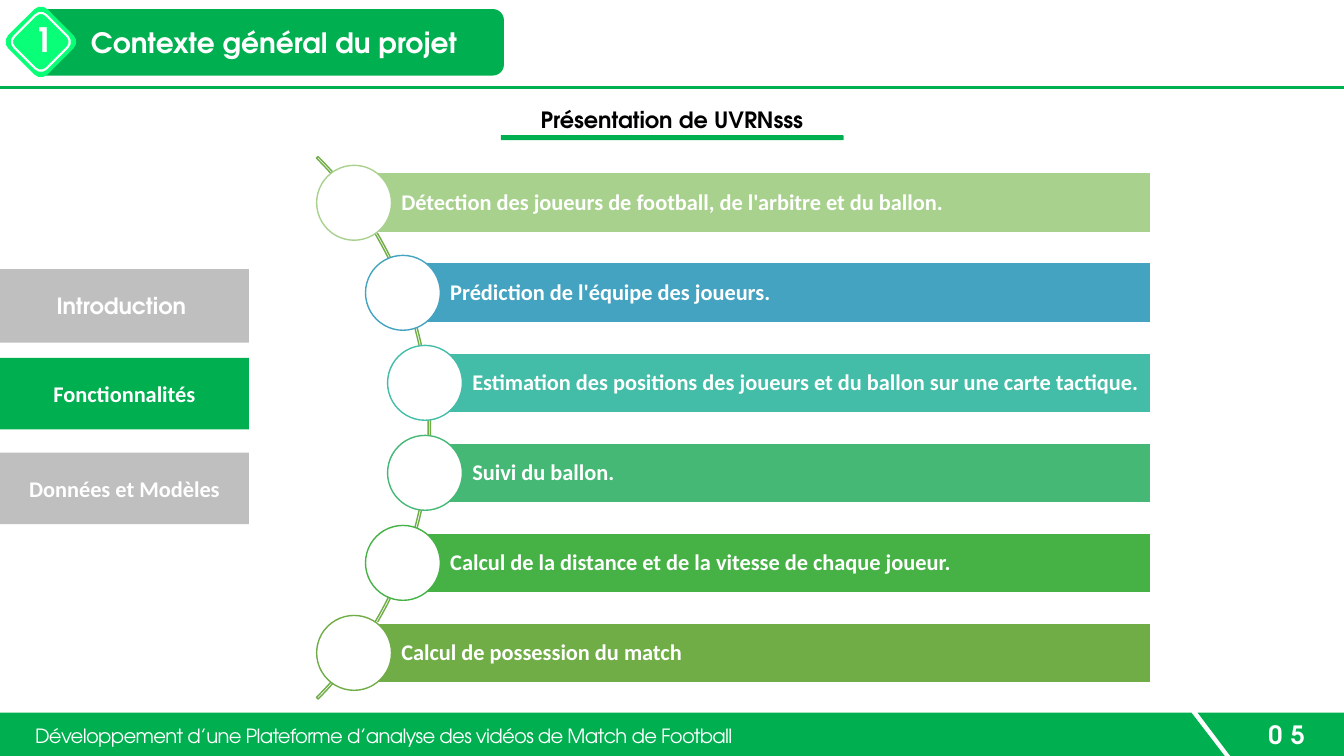
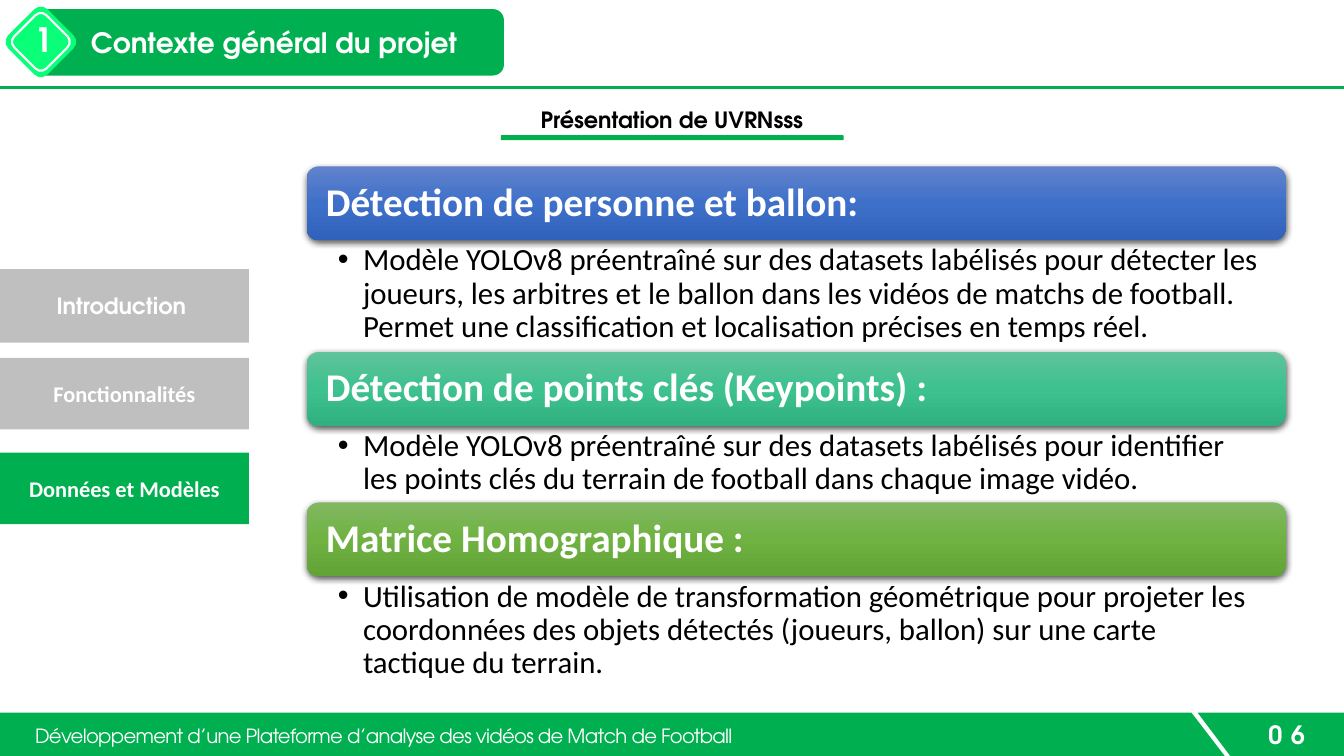
"""Build two slides on the features and models of a football video analysis platform."""
from copy import deepcopy
from dataclasses import dataclass
from math import sqrt
from typing import NamedTuple, Optional

from lxml.etree import SubElement
from pptx import Presentation
from pptx.dml.color import RGBColor
from pptx.enum.shapes import MSO_CONNECTOR, MSO_SHAPE
from pptx.enum.text import MSO_ANCHOR, MSO_AUTO_SIZE, PP_ALIGN
from pptx.oxml.ns import qn
from pptx.presentation import Presentation as Deck
from pptx.shapes.autoshape import Shape
from pptx.slide import Slide
from pptx.util import Pt

WIDTH, HEIGHT = 960, 540
GREEN, BRIGHT, GREY, WHITE, BLACK = "00B050", "09FF78", "BFBFBF", "FFFFFF", "000000"
ARC_GREEN = "70AD47"
HEADING_FONT, BODY_FONT = "TeX Gyre Adventor", "Calibri"
FOOTER_TOP = 509


class Box(NamedTuple):
    """Left, top, width and height in points."""

    left: float
    top: float
    width: float
    height: float


class Insets(NamedTuple):
    """Text margins in points."""

    left: float = 7.2
    top: float = 3.6
    right: float = 7.2
    bottom: float = 3.6


@dataclass(frozen=True)
class TextStyle:
    """How a block of text looks."""

    size: float
    font: str = BODY_FONT
    color: str = WHITE
    bold: bool = True
    align: PP_ALIGN = PP_ALIGN.LEFT
    anchor: MSO_ANCHOR = MSO_ANCHOR.MIDDLE
    insets: Insets = Insets()
    line_spacing: float = 1.0
    tracking: float = 0


@dataclass(frozen=True)
class Tab:
    """One entry of the side menu."""

    label: str
    top: float
    height: float
    font: str


@dataclass(frozen=True)
class Step:
    """One feature along the arc."""

    label: str
    color: str


@dataclass(frozen=True)
class Model:
    """One model with its heading bar and description."""

    heading: str
    description: str
    height: float
    gradient: tuple[str, str, str]


TITLE_STYLE = TextStyle(20, HEADING_FONT, insets=Insets(left=43.4))
SUBTITLE_STYLE = TextStyle(16, HEADING_FONT, BLACK, align=PP_ALIGN.CENTER, anchor=MSO_ANCHOR.TOP)
BADGE_STYLE = TextStyle(24, HEADING_FONT, align=PP_ALIGN.CENTER, tracking=6)
PAGE_STYLE = TextStyle(18, HEADING_FONT, align=PP_ALIGN.CENTER, tracking=6)
FOOTER_STYLE = TextStyle(14, HEADING_FONT, bold=False, anchor=MSO_ANCHOR.TOP, tracking=-0.5)
STEP_STYLE = TextStyle(16, insets=Insets(33.8, 2.9, 2.9, 2.9), line_spacing=0.9)
MODEL_STYLE = TextStyle(28, insets=Insets(left=11.2), line_spacing=0.9)
DESCRIPTION_STYLE = TextStyle(
    22, color=BLACK, bold=False, anchor=MSO_ANCHOR.TOP,
    insets=Insets(22.3, 2.9, 15.8, 2.9), line_spacing=0.9,
)

TABS = (
    Tab("Introduction ", 192.2, 52.6, HEADING_FONT),
    Tab("Fonctionnalités", 255.6, 51.1, BODY_FONT),
    Tab("Données et Modèles", 323.3, 51.1, BODY_FONT),
)
STEPS = (
    Step("Détection des joueurs de football, de l'arbitre et du ballon.", "A9D18E"),
    Step("Prédiction de l'équipe des joueurs.", "44A3C0"),
    Step("Estimation des positions des joueurs et du ballon sur une carte tactique.", "43BDA7"),
    Step("Suivi du ballon.", "44B874"),
    Step("Calcul de la distance et de la vitesse de chaque joueur.", "46B246"),
    Step("Calcul de possession du match", ARC_GREEN),
)
MODELS = (
    Model(
        "Détection de personne et ballon:",
        "Modèle YOLOv8 préentraîné sur des datasets labélisés pour détecter les joueurs, "
        "les arbitres et le ballon dans les vidéos de matchs de football. "
        "Permet une classification et localisation précises en temps réel.",
        79.8, ("6183CB", "3E70CA", "3062BB"),
    ),
    Model(
        "Détection de points clés (Keypoints) :",
        "Modèle YOLOv8 préentraîné sur des datasets labélisés pour identifier "
        "les points clés du terrain de football dans chaque image vidéo.",
        54.7, ("60C39A", "3DC18F", "31B080"),
    ),
    Model(
        "Matrice Homographique :",
        "Utilisation de modèle de transformation géométrique pour projeter les coordonnées "
        "des objets détectés (joueurs, ballon) sur une carte tactique du terrain.",
        79.8, ("81B861", "6FB242", "62A336"),
    ),
)


def rgb(color: str) -> RGBColor:
    """Turn a hex string into a colour."""
    return RGBColor.from_string(color)


def place(shape: Shape, box: Box) -> None:
    """Move and size a shape."""
    shape.left, shape.top, shape.width, shape.height = (Pt(value) for value in box)


def paint(shape: Shape, fill: Optional[str], line: Optional[str] = None, weight: float = 1) -> None:
    """Set fill and outline, without a shadow."""
    shape.shadow.inherit = False
    if fill:
        shape.fill.solid()
        shape.fill.fore_color.rgb = rgb(fill)
    else:
        shape.fill.background()
    if line:
        shape.line.color.rgb = rgb(line)
        shape.line.width = Pt(weight)
    else:
        shape.line.fill.background()


def write(shape: Shape, text: str, style: TextStyle) -> None:
    """Write one styled paragraph into a shape."""
    frame = shape.text_frame
    frame.word_wrap = True
    frame.auto_size = MSO_AUTO_SIZE.NONE
    frame.vertical_anchor = style.anchor
    frame.margin_left, frame.margin_top, frame.margin_right, frame.margin_bottom = (
        Pt(value) for value in style.insets
    )
    paragraph = frame.paragraphs[0]
    paragraph.alignment = style.align
    paragraph.line_spacing = style.line_spacing
    paragraph.space_before = Pt(0)
    run = paragraph.add_run()
    run.text = text
    run.font.name = style.font
    run.font.size = Pt(style.size)
    run.font.bold = style.bold
    run.font.color.rgb = rgb(style.color)
    if style.tracking:
        run.font._element.set("spc", str(round(style.tracking * 100)))


def add_panel(slide: Slide, kind: MSO_SHAPE, box: Box, fill: Optional[str],
              line: Optional[str] = None, weight: float = 1) -> Shape:
    """Add a painted preset shape."""
    shape = slide.shapes.add_shape(kind, *(Pt(value) for value in box))
    paint(shape, fill, line, weight)
    return shape


def add_text(slide: Slide, box: Box, text: str, style: TextStyle) -> None:
    """Add a text box."""
    write(slide.shapes.add_textbox(*(Pt(value) for value in box)), text, style)


def add_polygon(slide: Slide, points: list[tuple[float, float]], fill: str) -> None:
    """Add a closed outline."""
    vertices = [(Pt(x), Pt(y)) for x, y in points]
    builder = slide.shapes.build_freeform(*vertices[0])
    builder.add_line_segments(vertices[1:], close=True)
    paint(builder.convert_to_shape(), fill)


def add_header(slide: Slide) -> None:
    """Draw the title band, badge, rule and subtitle."""
    band = Box(21.6, 6.5, 338.4, 47.5)
    add_panel(slide, MSO_SHAPE.ROUNDED_RECTANGLE, band, GREEN)
    title = slide.shapes.title
    place(title, band)
    write(title, "Contexte général du projet", TITLE_STYLE)
    title.element.getparent().append(title.element)
    for size, line in ((39.6, None), (32.4, WHITE)):
        box = Box(29.2 - size / 2, 29.9 - size / 2, size, size)
        add_panel(slide, MSO_SHAPE.ROUNDED_RECTANGLE, box, BRIGHT, line, 1.5).rotation = 45
    add_text(slide, Box(7.2, 10.1, 48.2, 36), "1", BADGE_STYLE)
    rule = slide.shapes.add_connector(MSO_CONNECTOR.STRAIGHT, 0, Pt(62.6), Pt(WIDTH), Pt(62.6))
    rule.line.color.rgb = rgb(GREEN)
    rule.line.width = Pt(2.25)
    SubElement(rule.element.spPr, qn("a:effectLst"))
    add_text(slide, Box(357, 72, 246, 26.6), "Présentation de UVRNsss", SUBTITLE_STYLE)
    add_panel(slide, MSO_SHAPE.ROUNDED_RECTANGLE, Box(357.8, 96.5, 244.8, 3.6), GREEN)


def add_footer(slide: Slide, page: str) -> None:
    """Draw the two footer bands with their texts."""
    add_polygon(slide, [(0, FOOTER_TOP), (851, FOOTER_TOP), (874.8, HEIGHT), (0, HEIGHT)], GREEN)
    add_polygon(
        slide, [(855.4, FOOTER_TOP), (WIDTH, FOOTER_TOP), (WIDTH, HEIGHT), (878.8, HEIGHT)], GREEN)
    add_text(slide, Box(892, 509.8, 54, 30.2), page, PAGE_STYLE)
    add_text(slide, Box(18, 513.4, 823.7, 24.5),
             "Développement d’une Plateforme d’analyse des vidéos de Match de Football", FOOTER_STYLE)


def add_menu(slide: Slide, active: int) -> None:
    """Draw the side menu with one active tab."""
    for index, tab in enumerate(TABS):
        fill = GREEN if index == active else GREY
        shape = add_panel(slide, MSO_SHAPE.RECTANGLE, Box(0, tab.top, 177.8, tab.height), fill)
        write(shape, tab.label, TextStyle(16, tab.font, align=PP_ALIGN.CENTER))


def add_slide(presentation: Deck, layout: int, page: str, active: int) -> Slide:
    """Add a slide with everything the slides share."""
    slide = presentation.slides.add_slide(presentation.slide_layouts[layout])
    add_header(slide)
    add_footer(slide, page)
    add_menu(slide, active)
    return slide


def add_steps(slide: Slide) -> None:
    """Draw the features as bars hung on an arc."""
    center_x, center_y, arc_radius, circle_radius = 33.5, 305.6, 274, 272
    step_gap, bar_height, bar_right, diameter = 64.3, 42.8, 822, 53.5
    arc_box = Box(center_x - arc_radius, center_y - arc_radius, 2 * arc_radius, 2 * arc_radius)
    arc = add_panel(slide, MSO_SHAPE.BLOCK_ARC, arc_box, None, ARC_GREEN)
    for index, value in enumerate((189, 27, 0.003)):
        arc.adjustments[index] = value
    for index, step in enumerate(STEPS):
        offset = (index - (len(STEPS) - 1) / 2) * step_gap
        x, y = center_x + sqrt(circle_radius ** 2 - offset ** 2), center_y + offset
        bar_box = Box(x, y - bar_height / 2, bar_right - x, bar_height)
        bar = add_panel(slide, MSO_SHAPE.RECTANGLE, bar_box, step.color, WHITE)
        write(bar, step.label, STEP_STYLE)
        circle_box = Box(x - diameter / 2, y - diameter / 2, diameter, diameter)
        add_panel(slide, MSO_SHAPE.OVAL, circle_box, WHITE, step.color)


def shade(shape: Shape, colors: tuple[str, str, str]) -> None:
    """Give a shape a vertical gradient and a soft shadow."""
    shape.fill.gradient()
    shape.fill.gradient_angle = 270
    stop_list = shape.element.spPr.find(qn("a:gradFill")).find(qn("a:gsLst"))
    stop_list.append(deepcopy(stop_list[0]))
    for stop, position, color in zip(shape.fill.gradient_stops, (0, 0.5, 1), colors):
        stop.position = position
        stop.color.rgb = rgb(color)
    effects = shape.element.spPr.find(qn("a:effectLst"))
    shadow = SubElement(effects, qn("a:outerShdw"), blurRad=str(Pt(4.5)), dist=str(Pt(1.5)),
                        dir="5400000", algn="ctr", rotWithShape="0")
    shadow_color = SubElement(shadow, qn("a:srgbClr"), val=BLACK)
    SubElement(shadow_color, qn("a:alpha"), val="63000")


def add_bullet(shape: Shape) -> None:
    """Give the first paragraph a hanging bullet."""
    properties = shape.text_frame.paragraphs[0]._p.get_or_add_pPr()
    properties.set("marL", str(Pt(18)))
    properties.set("indent", str(Pt(-18)))
    SubElement(properties, qn("a:buFont"), typeface="Arial")
    SubElement(properties, qn("a:buChar"), char="•")


def add_models(slide: Slide) -> None:
    """Stack the model headings and their descriptions."""
    left, top, width, bar_height = 219, 118.8, 699.4, 52.8
    bodies = [shape for shape in slide.placeholders if shape.placeholder_format.idx]
    for model, body in zip(MODELS, bodies):
        bar = add_panel(
            slide, MSO_SHAPE.ROUNDED_RECTANGLE, Box(left, top, width, bar_height), model.gradient[1])
        shade(bar, model.gradient)
        write(bar, model.heading, MODEL_STYLE)
        place(body, Box(left, top + bar_height, width, model.height))
        write(body, model.description, DESCRIPTION_STYLE)
        add_bullet(body)
        top += bar_height + model.height
    for spare in bodies[len(MODELS):]:
        spare.element.getparent().remove(spare.element)


def main() -> None:
    """Build and save the presentation."""
    presentation = Presentation()
    presentation.slide_width, presentation.slide_height = Pt(WIDTH), Pt(HEIGHT)
    add_steps(add_slide(presentation, 5, "05", 1))
    add_models(add_slide(presentation, 4, "06", 2))
    presentation.save("out.pptx")


if __name__ == "__main__":
    main()
